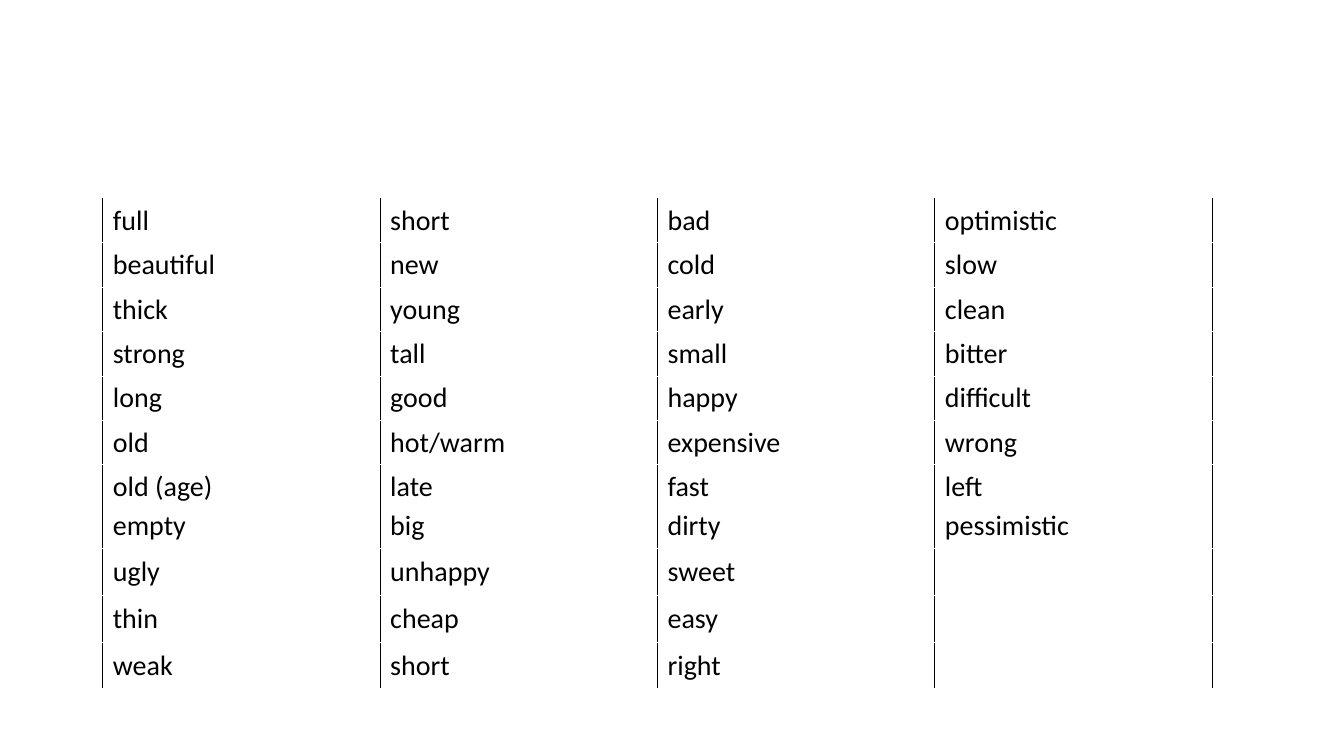
from lxml import etree
from pptx import Presentation
from pptx import util as u
from pptx.dml.color import RGBColor
from pptx.enum import text
from pptx.oxml import ns

BLACK = RGBColor(0x00, 0x00, 0x00)
WHITE = RGBColor(0xFF, 0xFF, 0xFF)
FONT = "Calibri"
FONT_SIZE = u.Pt(20)

LEFT = u.Cm(2.59)
COLUMN_WIDTH = u.Cm(6.99)
ROW_HEIGHT = u.Cm(1.1)
TALL_ROW_HEIGHT = u.Cm(1.18)

UPPER_WORDS = [
    ["full", "short", "bad", "optimistic"],
    ["beautiful", "new", "cold", "slow"],
    ["thick", "young", "early", "clean"],
    ["strong", "tall", "small", "bitter"],
    ["long", "good", "happy", "difficult"],
    ["old", "hot/warm", "expensive", "wrong"],
    ["old (age)", "late", "fast", "left"],
]
LOWER_WORDS = [
    ["empty", "big", "dirty", "pessimistic"],
    ["ugly", "unhappy", "sweet", ""],
    ["thin", "cheap", "easy", ""],
    ["weak", "short", "right", ""],
]


def set_borders(cell):
    """Black upright borders, white level borders."""
    properties = cell._tc.get_or_add_tcPr()
    sides = [("lnL", BLACK), ("lnR", BLACK), ("lnT", WHITE), ("lnB", WHITE)]
    for position, (side, color) in enumerate(sides):
        line = etree.Element(ns.qn(f"a:{side}"), w=str(u.Pt(0.75)))
        fill = etree.SubElement(line, ns.qn("a:solidFill"))
        etree.SubElement(fill, ns.qn("a:srgbClr"), val=str(color))
        properties.insert(position, line)


def fill_cell(cell, word):
    cell.fill.background()
    cell.vertical_anchor = text.MSO_ANCHOR.MIDDLE
    set_borders(cell)
    if word:
        run = cell.text_frame.paragraphs[0].add_run()
        run.text = word
        run.font.name = FONT
        run.font.size = FONT_SIZE
        run.font.color.rgb = BLACK


def add_word_table(slide, top, words, row_heights):
    column_count = len(words[0])
    table = slide.shapes.add_table(
        len(words), column_count, LEFT, top,
        COLUMN_WIDTH * column_count, sum(row_heights),
    ).table
    table.first_row = False
    table.horz_banding = False
    for column in table.columns:
        column.width = COLUMN_WIDTH
    for row, height, row_words in zip(table.rows, row_heights, words):
        row.height = height
        for cell, word in zip(row.cells, row_words):
            fill_cell(cell, word)


def main():
    presentation = Presentation()
    presentation.slide_width = u.Cm(33.87)
    presentation.slide_height = u.Cm(19.05)
    slide = presentation.slides.add_slide(presentation.slide_layouts[6])

    # Upper word list
    add_word_table(slide, u.Cm(5), UPPER_WORDS, [ROW_HEIGHT] * len(UPPER_WORDS))

    # Lower word list, with taller rows after the first
    lower_heights = [ROW_HEIGHT] + [TALL_ROW_HEIGHT] * (len(LOWER_WORDS) - 1)
    add_word_table(slide, u.Cm(12.7), LOWER_WORDS, lower_heights)

    presentation.save("out.pptx")


if __name__ == "__main__":
    main()
